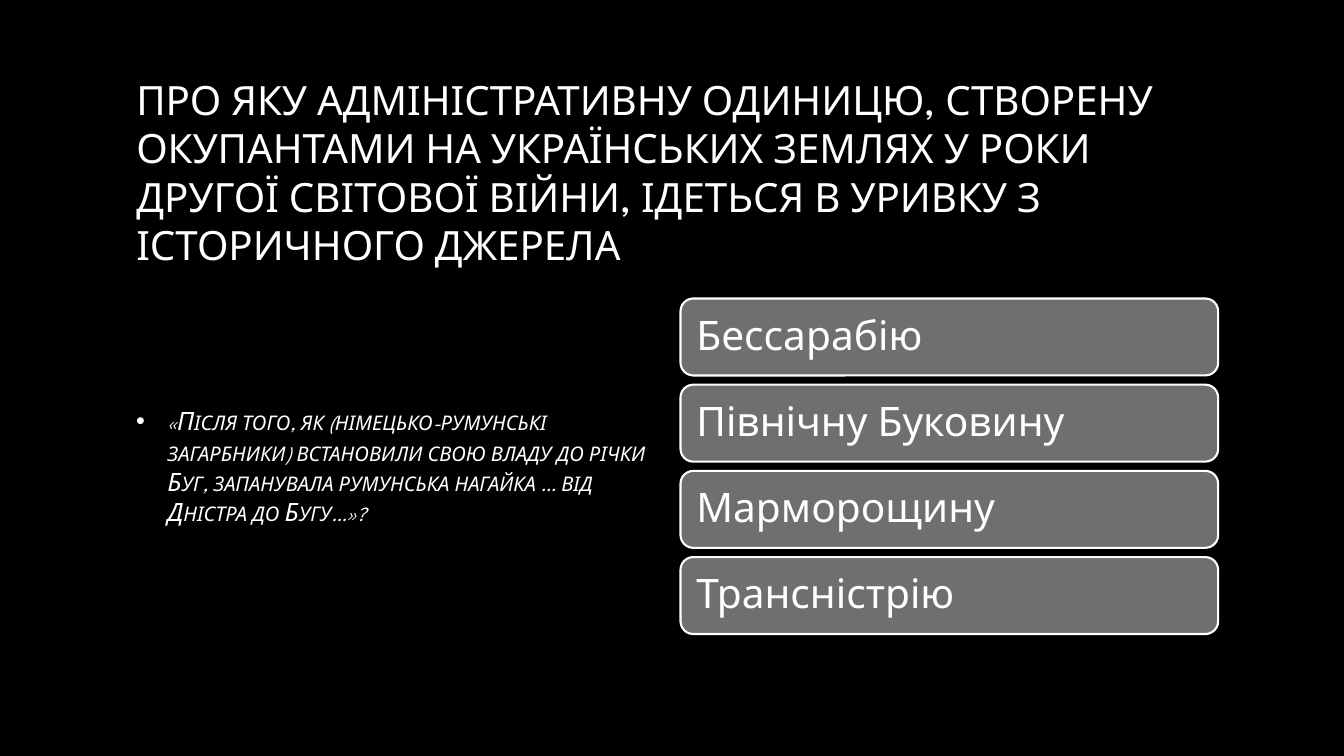
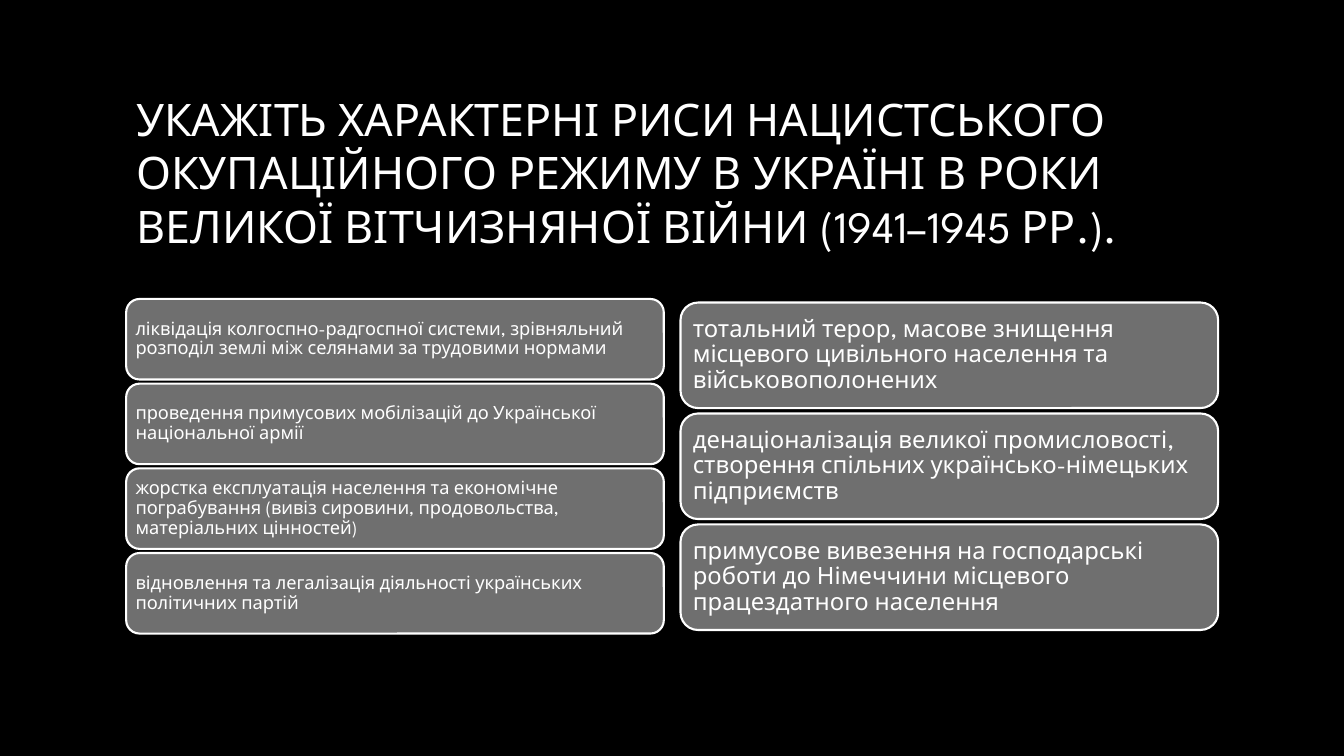
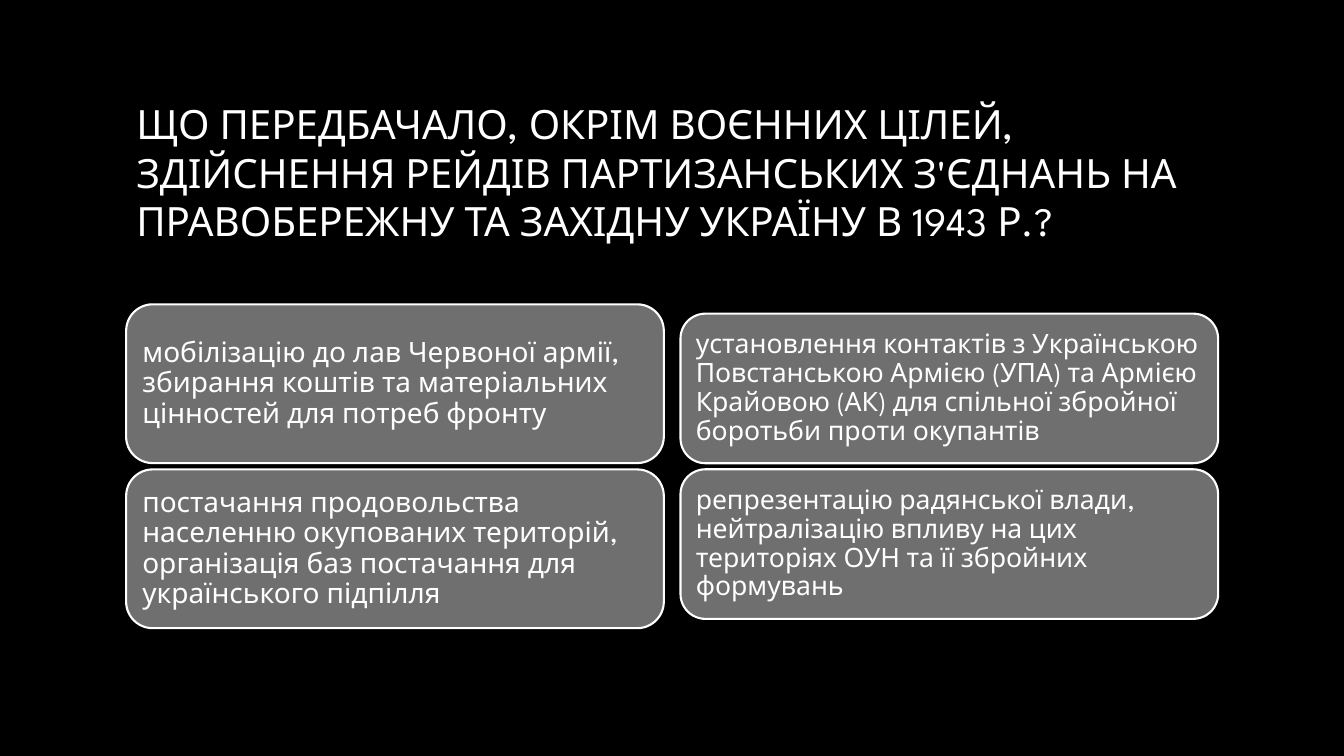
import pptx
import pptx.util
import pptx.dml.color
import pptx.enum.shapes
import pptx.enum.text
import pptx.oxml
import pptx.oxml.ns

Cm, Pt = pptx.util.Cm, pptx.util.Pt
FONT = "League Spartan"
HUES = {"back": "000000", "text": "FFFFFF", "card": "6F6F6F",
        "head": "A6A6A6", "body": "BFBFBF"}

# Shared boxes: left, top, width, height in cm
HEAD = (3.18, 1.69, 27.51, 5.29)
LEFT = (3.18, 7.41, 13.55, 8.68)
RIGHT = (17.15, 7.41, 13.55, 8.68)


def rgb(name):
    return pptx.dml.color.RGBColor.from_string(HUES[name])


def write(frame, text, size, fade=None):
    """Fill a frame with one left-aligned run; fade names the gradient's end."""
    frame.word_wrap = True
    frame.auto_size = pptx.enum.text.MSO_AUTO_SIZE.NONE
    frame.vertical_anchor = pptx.enum.text.MSO_ANCHOR.MIDDLE
    para = frame.paragraphs[0]
    para.alignment = pptx.enum.text.PP_ALIGN.LEFT
    run = para.add_run()
    run.text = text
    run.font.name = FONT
    run.font.size = Pt(size)
    if fade:
        fill = run.font.fill
        fill.gradient()
        fill.gradient_angle = 267
        for stop, hue in zip(fill.gradient_stops, ("text", fade)):
            stop.color.rgb = rgb(hue)
    else:
        run.font.color.rgb = rgb("text")
    return para, run


def start(deck, text, size):
    """Add a slide with its title."""
    slide = deck.slides.add_slide(deck.slide_layouts[5])
    head = slide.shapes.title
    head.left, head.top, head.width, head.height = map(Cm, HEAD)
    write(head.text_frame, text, size, "head")
    return slide


def quote(slide, box, text, size):
    """Add a bulleted quotation in italic small capitals."""
    shape = slide.shapes.add_textbox(*map(Cm, box))
    para, run = write(shape.text_frame, text, size, "body")
    run.font.italic = True
    run.font._element.set("cap", "small")
    # Bullet with a hanging indent
    props = para._p.get_or_add_pPr()
    props.set("marL", str(Cm(0.79)))
    props.set("indent", str(-Cm(0.79)))
    space = pptx.oxml.ns.nsdecls("a")
    for mark in (f'<a:buClr {space}><a:srgbClr val="{HUES["text"]}"/></a:buClr>',
                 f'<a:buFont {space} typeface="Arial"/>',
                 f'<a:buChar {space} char="•"/>'):
        props.append(pptx.oxml.parse_xml(mark))


def stack(slide, box, items, size, tall):
    """Stack rounded cards, centred in the box; gap and inset follow the text size."""
    left, top, wide, high = box
    gap = 0.008 * size
    step = tall + gap
    top += (high - step * len(items) + gap) / 2
    for row, text in enumerate(items):
        card = slide.shapes.add_shape(
            pptx.enum.shapes.MSO_SHAPE.ROUNDED_RECTANGLE,
            Cm(left), Cm(top + row * step), Cm(wide), Cm(tall))
        card.shadow.inherit = False
        card.fill.solid()
        card.fill.fore_color.rgb = rgb("card")
        card.line.color.rgb = rgb("text")
        card.line.width = Pt(1.5)
        frame = card.text_frame
        frame.margin_left = frame.margin_right = Pt(0.3 * size)
        frame.margin_top = frame.margin_bottom = Pt(0.3 * size)
        para, _ = write(frame, text, size)
        para.line_spacing = 0.9


def main():
    deck = pptx.Presentation()
    deck.slide_width, deck.slide_height = Cm(33.87), Cm(19.05)
    back = deck.slide_master.background.fill
    back.solid()
    back.fore_color.rgb = rgb("back")

    # Slide 1: quotation and answers
    slide = start(deck, "ПРО ЯКУ АДМІНІСТРАТИВНУ ОДИНИЦЮ, СТВОРЕНУ ОКУПАНТАМИ НА "
                  "УКРАЇНСЬКИХ ЗЕМЛЯХ У РОКИ ДРУГОЇ СВІТОВОЇ ВІЙНИ, ІДЕТЬСЯ В "
                  "УРИВКУ З ІСТОРИЧНОГО ДЖЕРЕЛА", 28.8)
    quote(slide, LEFT, "«Після того, як (німецько-румунські загарбники) встановили "
          "свою владу до річки Буг, запанувала румунська нагайка … від Дністра "
          "до Бугу…»?", 18)
    stack(slide, RIGHT, ["Бессарабію", "Північну Буковину", "Марморощину",
                         "Трансністрію"], 29, 1.94)

    # Slide 2: features of the regime
    slide = start(deck, "УКАЖІТЬ ХАРАКТЕРНІ РИСИ НАЦИСТСЬКОГО ОКУПАЦІЙНОГО РЕЖИМУ В "
                  "УКРАЇНІ В РОКИ ВЕЛИКОЇ ВІТЧИЗНЯНОЇ ВІЙНИ (1941–1945 РР.).", 32)
    stack(slide, LEFT, [
        "ліквідація колгоспно-радгоспної системи, зрівняльний розподіл землі між "
        "селянами за трудовими нормами",
        "проведення примусових мобілізацій до Української національної армії",
        "жорстка експлуатація населення та економічне пограбування (вивіз "
        "сировини, продовольства, матеріальних цінностей)",
        "відновлення та легалізація діяльності українських політичних партій",
    ], 13, 2.03)
    stack(slide, RIGHT, [
        "тотальний терор, масове знищення місцевого цивільного населення та "
        "військовополонених",
        "денаціоналізація великої промисловості, створення спільних "
        "українсько-німецьких підприємств",
        "примусове вивезення на господарські роботи до Німеччини місцевого "
        "працездатного населення",
    ], 17, 2.66)

    # Slide 3: aims of the raids
    slide = start(deck, "ЩО ПЕРЕДБАЧАЛО, ОКРІМ ВОЄННИХ ЦІЛЕЙ, ЗДІЙСНЕННЯ РЕЙДІВ "
                  "ПАРТИЗАНСЬКИХ З'ЄДНАНЬ НА ПРАВОБЕРЕЖНУ ТА ЗАХІДНУ УКРАЇНУ В "
                  "1943 Р.?", 28.8)
    stack(slide, LEFT, [
        "мобілізацію до лав Червоної армії, збирання коштів та матеріальних "
        "цінностей для потреб фронту",
        "постачання продовольства населенню окупованих територій, організація "
        "баз постачання для українського підпілля",
    ], 20, 4)
    stack(slide, RIGHT, [
        "установлення контактів з Українською Повстанською Армією (УПА) та "
        "Армією Крайовою (АК) для спільної збройної боротьби проти окупантів",
        "репрезентацію радянської влади, нейтралізацію впливу на цих територіях "
        "ОУН та її збройних формувань",
    ], 19, 3.77)

    deck.save("out.pptx")


if __name__ == "__main__":
    main()
